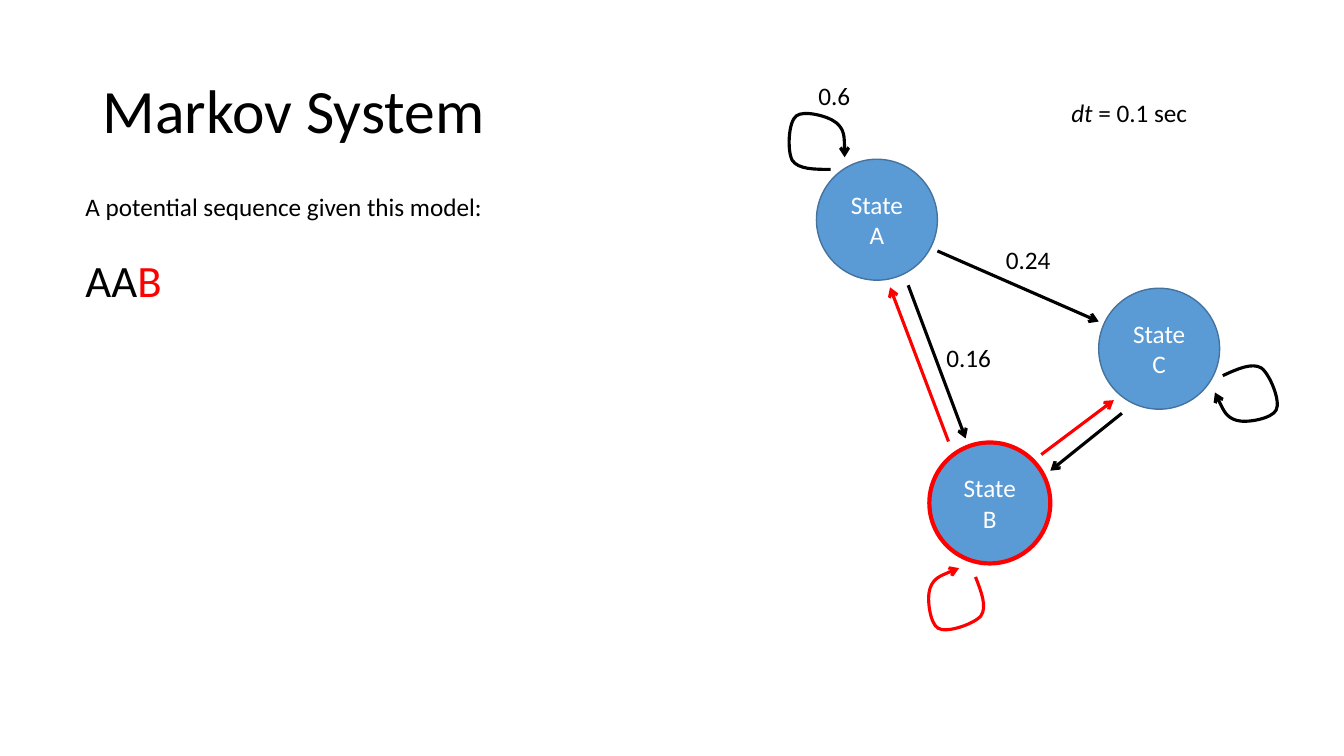
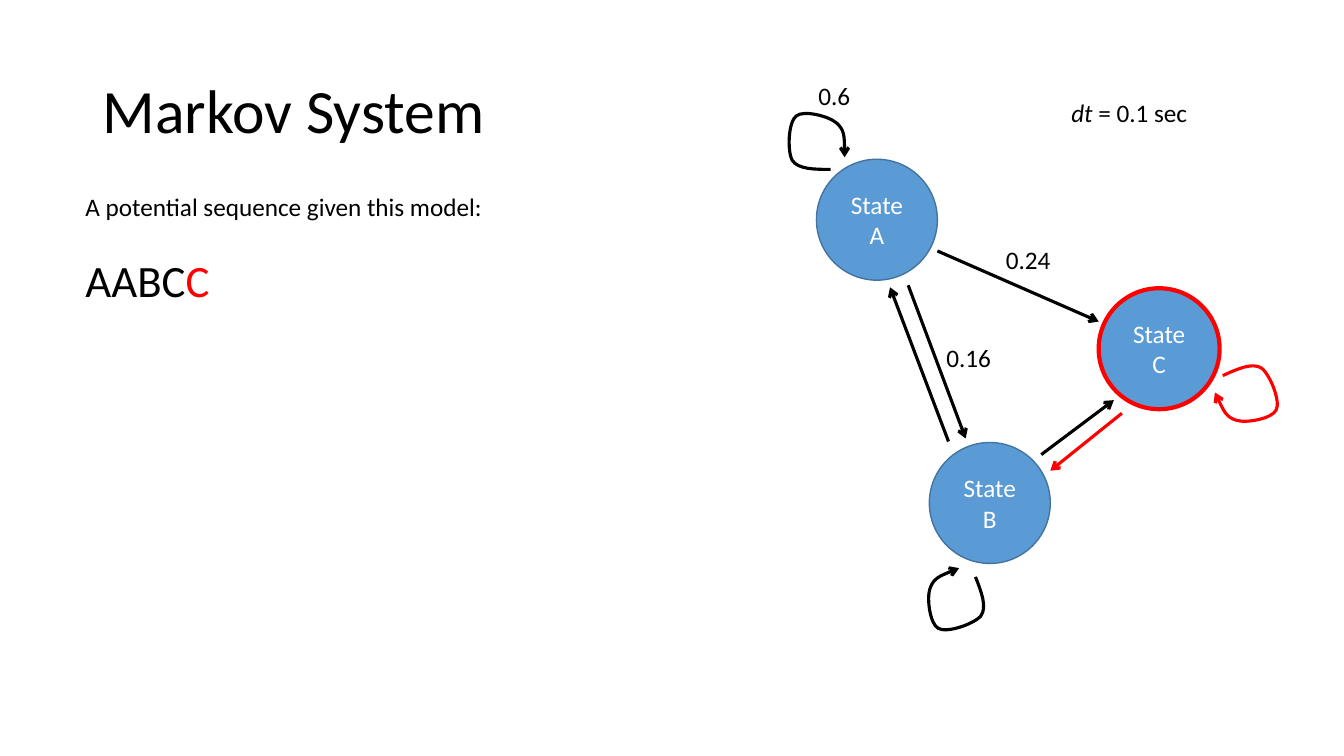
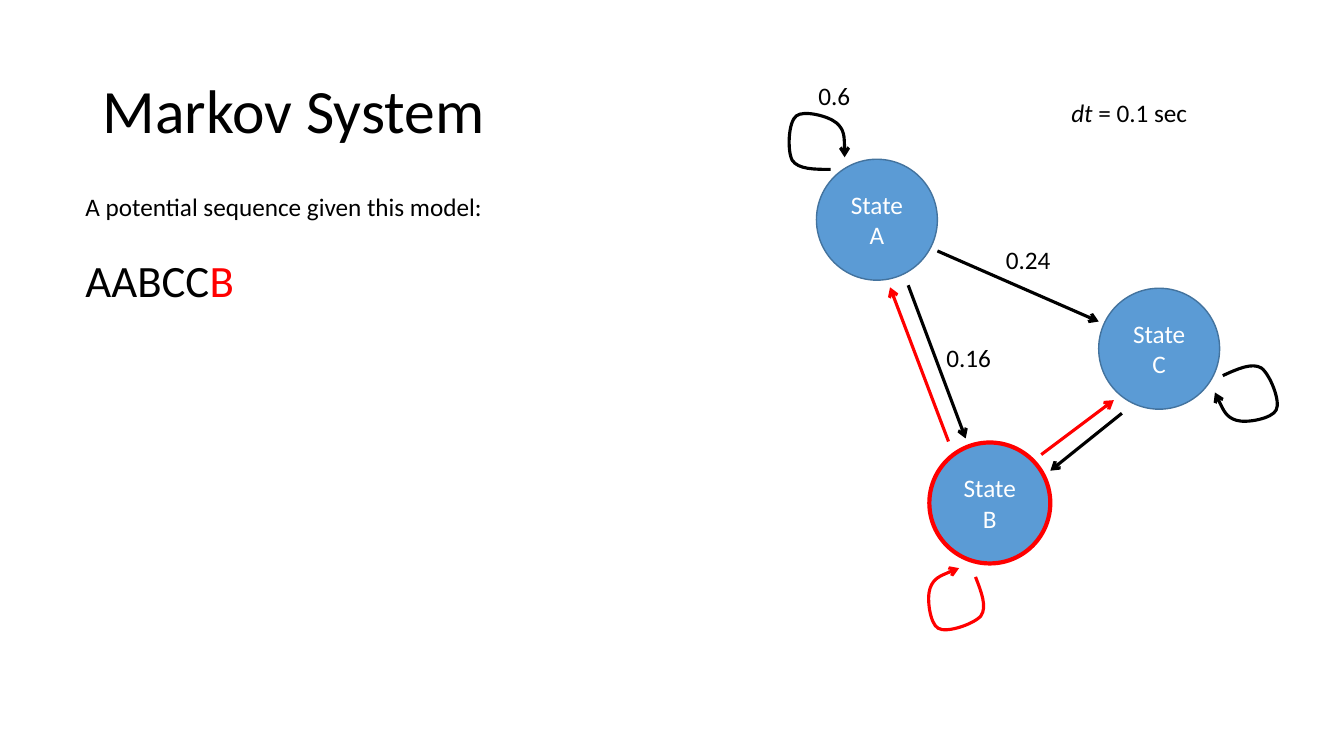
from lxml.etree import SubElement
from pptx import Presentation
from pptx.dml.color import RGBColor
from pptx.enum.shapes import MSO_CONNECTOR, MSO_SHAPE
from pptx.enum.text import MSO_ANCHOR, MSO_AUTO_SIZE, PP_ALIGN
from pptx.oxml.ns import qn
from pptx.util import Pt

OVAL = MSO_SHAPE.OVAL
LINE = MSO_CONNECTOR.STRAIGHT
MIDDLE = MSO_ANCHOR.MIDDLE
LEFT, CENTER = PP_ALIGN.LEFT, PP_ALIGN.CENTER
FIXED, GROW = MSO_AUTO_SIZE.NONE, MSO_AUTO_SIZE.SHAPE_TO_FIT_TEXT

SCALE = 9144
FONT = "Calibri"
BLACK, WHITE, RED = "000000", "FFFFFF", "FF0000"
BLUE, RIM = "5B9BD5", "43739E"

TITLE_BOX = (92, 40, 1150, 145)
STEPS_BOX = (75, 185, 607, 125)
GRAPH_AT = (780, 70)

SIZE = 120
NODES = {"A": (30, 88), "B": (142, 369), "C": (310, 216)}
EDGES = [
    ("A", (121, 213), (178, 365)),
    ("A", (150, 179), (310, 249)),
    ("B", (253, 381), (325, 327)),
    ("C", (333, 340), (262, 397)),
    ("B", (161, 368), (103, 215)),
]
LOOPS = {"A": (1, 39, 0), "B": (137, 497, 248.7), "C": (430, 294, 155.5)}
CURVE = [
    (43, 59),
    (27, 59), (11, 59), (5, 50),
    (0, 41), (1, 12), (9, 6),
    (16, 0), (41, 6), (49, 13),
    (57, 20), (57, 33), (57, 47),
]
LABELS = [
    ((208, 167, 65, 40), [("0.24", {})]),
    ((149, 265, 65, 40), [("0.16", {})]),
    ((22, 5, 52, 40), [("0.6", {})]),
    ((273, 22, 137, 40), [("dt", {"italic": True}), (" = 0.1 sec", {})]),
]
SLIDES = [("AA", "B"), ("AABC", "C"), ("AABCC", "B")]


def px(*nums):
    return [round(num * SCALE) for num in nums]


def paint(color, code):
    color.rgb = RGBColor.from_string(code)


def put(obj, **values):
    for key, value in values.items():
        setattr(obj, key, value)


def write(para, runs, color=BLACK, size=18):
    for text, style in runs:
        run = para.add_run()
        run.text = text
        look = {"color": color, "size": size, **style}
        paint(run.font.color, look.pop("color"))
        put(run.font, name=FONT, **{**look, "size": Pt(look["size"])})


def stroke(shape, code, width):
    paint(shape.line.color, code)
    shape.line.width = Pt(width)


def arrow(shape, code):
    stroke(shape, code, 2.25)
    SubElement(shape.element.spPr.find(qn("a:ln")), qn("a:tailEnd"), type="arrow")


def textbox(slide, box, wrap):
    frame = slide.shapes.add_textbox(*px(*box)).text_frame
    put(frame, word_wrap=wrap, auto_size=GROW)
    return frame


def title(slide, box, text):
    shape = slide.shapes.title
    put(shape, **dict(zip(("left", "top", "width", "height"), px(*box))))
    frame = shape.text_frame
    put(frame, vertical_anchor=MIDDLE, auto_size=FIXED)
    para = frame.paragraphs[0]
    put(para, alignment=LEFT, line_spacing=0.9)
    write(para, [(text, {})], size=44)


def node(slide, x, y, name, live):
    shape = slide.shapes.add_shape(OVAL, *px(x, y, SIZE, SIZE))
    shape.shadow.inherit = False
    shape.fill.solid()
    paint(shape.fill.fore_color, BLUE)
    stroke(shape, *((RED, 3) if live else (RIM, 1)))
    frame = shape.text_frame
    put(frame, vertical_anchor=MIDDLE, word_wrap=True)
    para = frame.paragraphs[0]
    para.alignment = CENTER
    write(para, [(f"State {name}", {})], WHITE)


def edge(slide, start, end, code):
    line = slide.shapes.add_connector(LINE, *px(*start, *end))
    arrow(line, code)
    SubElement(line.element.spPr, qn("a:effectLst"))


def loop(slide, x, y, angle, code):
    points = [px(x + dx, y + dy) for dx, dy in CURVE]
    pen = slide.shapes.build_freeform(*points[0])
    pen.add_line_segments(points[1:], close=False)
    shape = pen.convert_to_shape()
    track = next(shape.element.iter(qn("a:path")))
    legs = track.findall(qn("a:lnTo"))
    for first in range(0, len(legs), 3):
        bend = SubElement(track, qn("a:cubicBezTo"))
        for leg in legs[first:first + 3]:
            bend.append(leg[0])
            track.remove(leg)
    shape.rotation = angle
    shape.shadow.inherit = False
    shape.fill.background()
    arrow(shape, code)


def graph(slide, left, top, state):
    def tint(name):
        return RED if name == state else BLACK

    for name, (x, y) in NODES.items():
        node(slide, left + x, top + y, name, name == state)
    for name, *ends in EDGES:
        start, end = [(left + x, top + y) for x, y in ends]
        edge(slide, start, end, tint(name))
    for (x, y, wide, high), runs in LABELS:
        frame = textbox(slide, (left + x, top + y, wide, high), False)
        write(frame.paragraphs[0], runs)
    for name, (x, y, angle) in LOOPS.items():
        loop(slide, left + x, top + y, angle, tint(name))


def steps(slide, box, past, state):
    frame = textbox(slide, box, True)
    write(frame.paragraphs[0], [("A potential sequence given this model:", {})])
    para = frame.add_paragraph()
    para.space_before = Pt(22)
    write(para, [(past, {}), (state, {"color": RED})], size=32)


def main():
    deck = Presentation()
    wide, high = px(1333.33, 750)
    put(deck, slide_width=wide, slide_height=high)
    for past, state in SLIDES:
        slide = deck.slides.add_slide(deck.slide_layouts[5])
        title(slide, TITLE_BOX, "Markov System")
        graph(slide, *GRAPH_AT, state)
        steps(slide, STEPS_BOX, past, state)
    deck.save("out.pptx")


if __name__ == "__main__":
    main()
